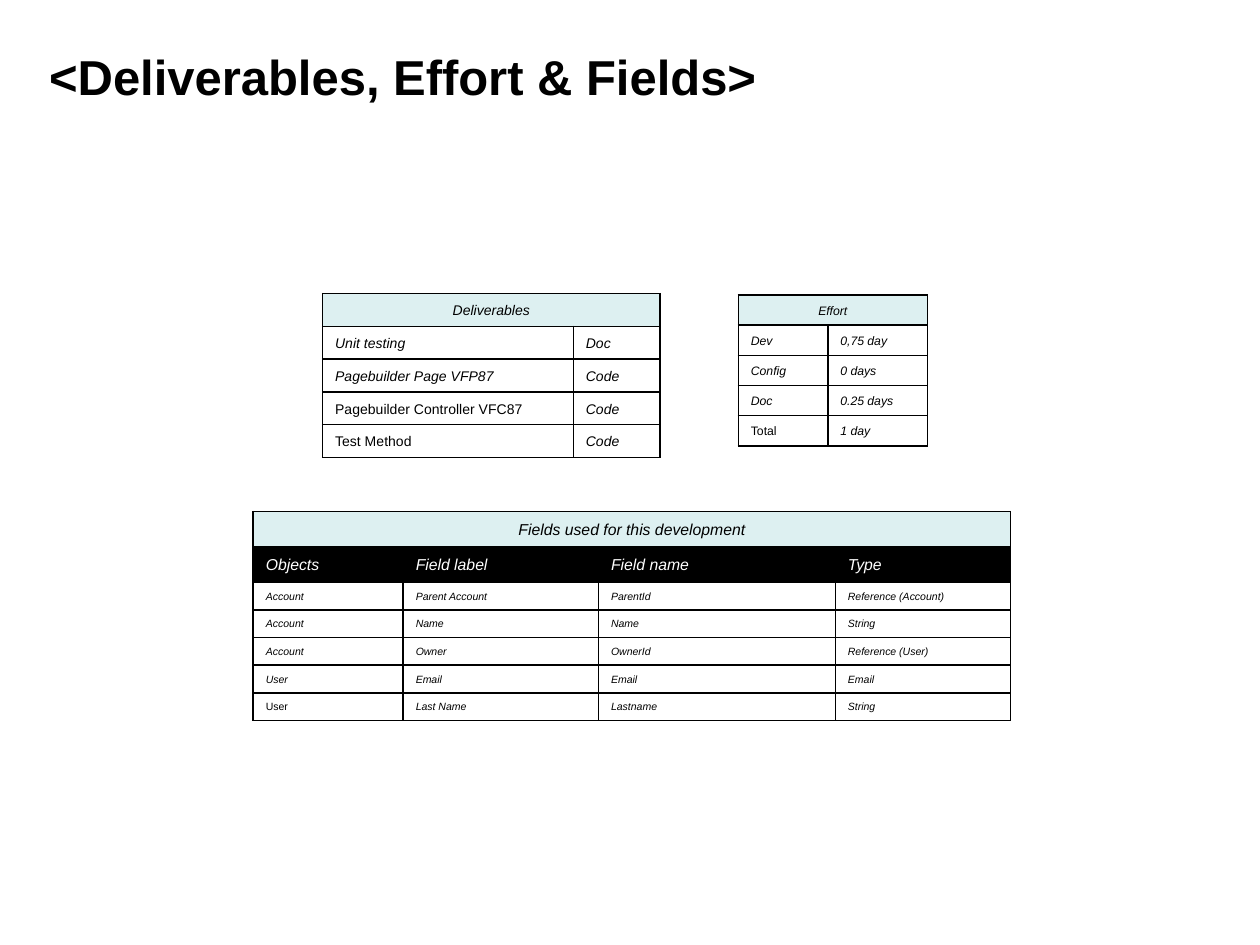
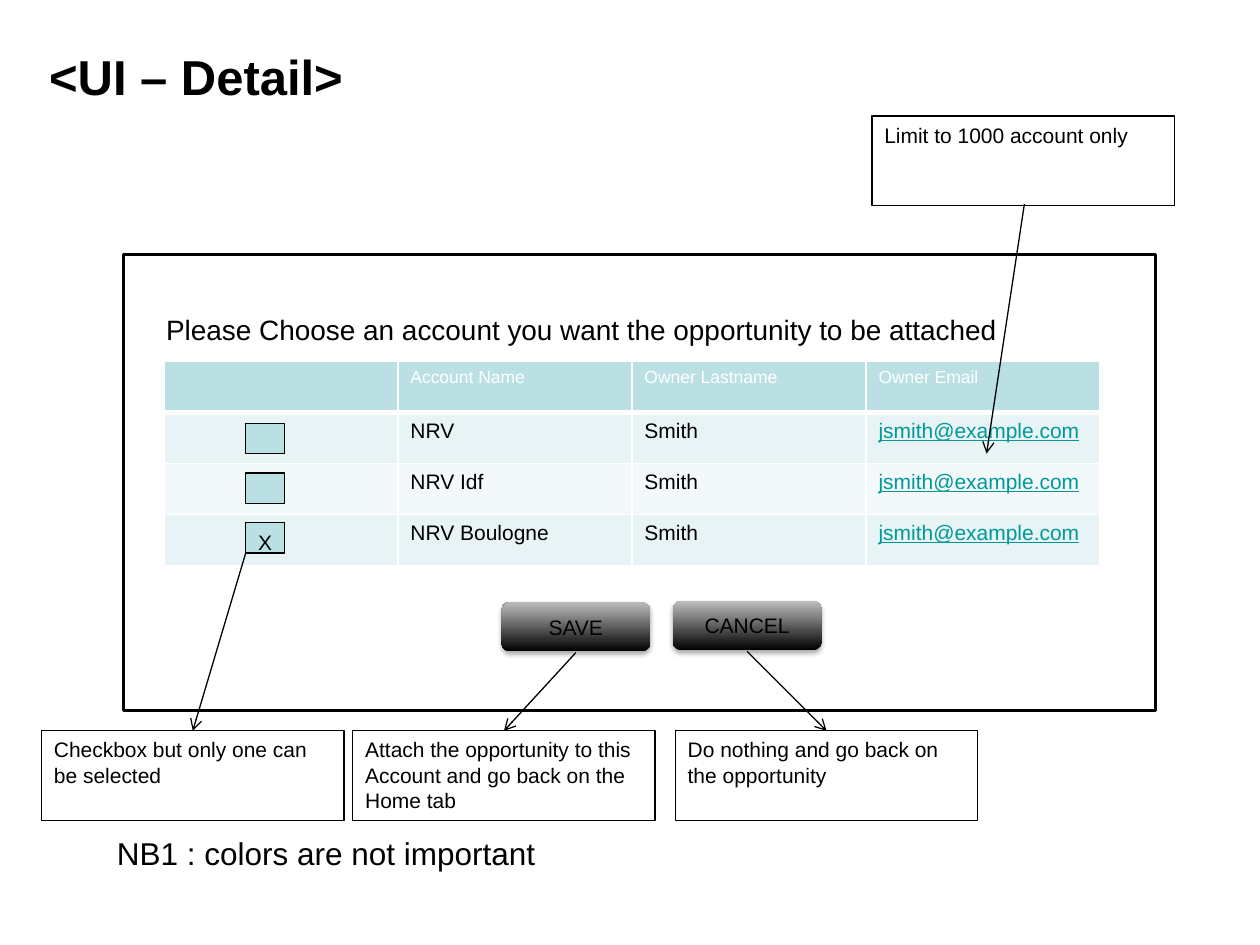
from lxml import etree
from pptx import Presentation
from pptx.dml.color import RGBColor
from pptx.enum.shapes import MSO_CONNECTOR, MSO_SHAPE
from pptx.enum.text import MSO_ANCHOR, PP_ALIGN
from pptx.oxml import parse_xml
from pptx.oxml.ns import nsdecls, qn
from pptx.util import Inches, Pt

RECT, ROUNDED = MSO_SHAPE.RECTANGLE, MSO_SHAPE.ROUNDED_RECTANGLE
STRAIGHT = MSO_CONNECTOR.STRAIGHT
TOP, MIDDLE = MSO_ANCHOR.TOP, MSO_ANCHOR.MIDDLE
LEFT, CENTER = PP_ALIGN.LEFT, PP_ALIGN.CENTER

FONT = "Arial"
COLORS = {
    "black": "000000", "white": "FFFFFF", "teal": "BBE0E3", "caption": "DDF0F1",
    "odd_row": "E7F3F4", "even_row": "F3F9FA", "link": "009999", "button_top": "BDBDBD",
}
RGB = {name: RGBColor.from_string(value) for name, value in COLORS.items()}


def style_cell(cell, text, size, color, fill, border, bottom=1):
    """Write a table cell and rule its four edges; return its paragraph."""
    cell.fill.solid()
    cell.fill.fore_color.rgb = RGB[fill]
    edges = (("lnL", 1), ("lnR", 1), ("lnT", 1), ("lnB", bottom))
    for position, (edge, width) in enumerate(edges):
        cell._tc.tcPr.insert(position, parse_xml(
            f'<a:{edge} {nsdecls("a")} w="{Pt(width)}"><a:solidFill>'
            f'<a:srgbClr val="{COLORS[border]}"/></a:solidFill></a:{edge}>'))
    paragraph = cell.text_frame.paragraphs[0]
    if text:
        paragraph.text = text
        paragraph.font.name, paragraph.font.size = FONT, Pt(size)
        paragraph.font.color.rgb = RGB[color]
    return paragraph


def add_text(slide, box, text, size=12, shape=None, fill="white", line=0.75,
             anchor=TOP, align=LEFT):
    """Add a text box, or a filled and outlined shape that holds text."""
    bounds = [Inches(length) for length in box]
    if shape is None:
        item = slide.shapes.add_textbox(*bounds)
    else:
        item = slide.shapes.add_shape(shape, *bounds)
        item.shadow.inherit = False
        item.fill.solid()
        item.fill.fore_color.rgb = RGB[fill]
        item.line.color.rgb = RGB["black"]
        item.line.width = Pt(line)
    frame = item.text_frame
    frame.word_wrap = True
    frame.vertical_anchor = anchor
    if text:
        paragraph = frame.paragraphs[0]
        paragraph.text = text
        paragraph.alignment = align
        paragraph.font.name, paragraph.font.size = FONT, Pt(size)
        paragraph.font.color.rgb = RGB["black"]
    return item


prs = Presentation()
prs.slide_width, prs.slide_height = Inches(10), Inches(7.5)

# Both slides: title at the top left
slides = []
for heading in ("<Deliverables, Effort & Fields>", "<UI – Detail>"):
    slide = prs.slides.add_slide(prs.slide_layouts[5])
    title = slide.shapes.title
    title.left, title.top = Inches(0.33), Inches(0)
    title.width, title.height = Inches(9), Inches(1.2)
    title.text_frame.margin_left = Inches(0.06)
    title.text_frame.vertical_anchor = MIDDLE
    title.text = heading
    line = title.text_frame.paragraphs[0]
    line.alignment = LEFT
    line.font.name, line.font.size, line.font.bold = FONT, Pt(28), True
    line.font.color.rgb = RGB["black"]
    slides.append(slide)
summary, ui = slides

# Slide 1: three ruled tables, each under a merged caption.
# The first cells of the last "upright" rows are not italic.
summary_tables = [
    dict(at=(5.86, 2.34), widths=(0.71, 0.79), heights=[0.24] * 5, size=7, upright=1,
         caption="Effort", header=None,
         rows=[("Dev", "0,75 day"), ("Config", "0 days"),
               ("Doc", "0.25 days"), ("Total", "1 day")]),
    dict(at=(2.56, 2.33), widths=(1.99, 0.69), heights=[0.26] * 5, size=8, upright=2,
         caption="Deliverables", header=None,
         rows=[("Unit testing", "Doc"), ("Pagebuilder Page VFP87", "Code"),
               ("Pagebuilder Controller VFC87", "Code"), ("Test Method", "Code")]),
    dict(at=(2.01, 4.06), widths=(1.19, 1.55, 1.88, 1.39),
         heights=[0.28] * 2 + [0.22] * 5, size=6, upright=1,
         caption="Fields used for this development",
         header=("Objects", "Field label", "Field name", "Type"),
         rows=[("Account", "Parent Account", "ParentId", "Reference (Account)"),
               ("Account", "Name", "Name", "String"),
               ("Account", "Owner", "OwnerId", "Reference (User)"),
               ("User", "Email", "Email", "Email"),
               ("User", "Last Name", "Lastname", "String")]),
]
for block in summary_tables:
    widths, heights = block["widths"], block["heights"]
    lines = [(block["caption"],) + ("",) * (len(widths) - 1)]
    if block["header"]:
        lines.append(block["header"])
    head_count = len(lines)
    lines += block["rows"]
    grid = summary.shapes.add_table(
        len(lines), len(widths), *[Inches(n) for n in block["at"]],
        Inches(sum(widths)), Inches(sum(heights))).table
    grid.first_row = grid.horz_banding = False
    for column, width in zip(grid.columns, widths):
        column.width = Inches(width)
    for r, texts in enumerate(lines):
        grid.rows[r].height = Inches(heights[r])
        is_header = 0 < r < head_count
        fill = "caption" if r == 0 else "black" if is_header else "white"
        size = 9 if block["header"] and r < head_count else block["size"]
        for c, text in enumerate(texts):
            entry = style_cell(grid.cell(r, c), text, size,
                               "white" if is_header else "black", fill, "black")
            entry.line_spacing = 1.2
            entry.font.italic = c > 0 or r < len(lines) - block["upright"]
    grid.cell(0, 0).merge(grid.cell(0, len(widths) - 1))
    grid.cell(0, 0).text_frame.paragraphs[0].alignment = CENTER

# Slide 2: window frame and prompt
add_text(ui, (0.98, 2.02, 8.19, 3.62), "", shape=RECT, line=2)
add_text(ui, (1.22, 2.43, 7.48, 0.37), "Please Choose an account you want the "
         "opportunity to be attached", size=16)

# Account list
email = "jsmith@example.com"
accounts = [("", "Account Name", "Owner Lastname", "Owner Email")]
accounts += [("", name, "Smith", email) for name in ("NRV", "NRV Idf", "NRV Boulogne")]
account_list = ui.shapes.add_table(4, 4, Inches(1.3), Inches(2.87),
                                   Inches(7.43), Inches(1.62)).table
account_list.first_row = account_list.horz_banding = False
for r, texts in enumerate(accounts):
    for c, text in enumerate(texts):
        cell = account_list.cell(r, c)
        if r == 0:
            style_cell(cell, text, 10, "white", "teal", "white", bottom=3)
        else:
            entry = style_cell(cell, text, 12, "link" if c == 3 else "black",
                               "odd_row" if r % 2 else "even_row", "white")
            if c == 3:
                entry.font.underline = True

# Checkboxes, only the last one ticked
for i, mark in enumerate(("", "", "X")):
    add_text(ui, (1.95, 3.36 + i * 0.395, 0.31, 0.24), mark, shape=RECT, fill="teal")

# Buttons with a vertical gradient and a soft shadow
for left, top, label in ((3.98, 4.78, "SAVE"), (5.34, 4.77, "CANCEL")):
    button = add_text(ui, (left, top, 1.18, 0.39), label, shape=ROUNDED,
                      anchor=MIDDLE, align=CENTER)
    button.line.fill.background()
    button.fill.gradient()
    button.fill.gradient_angle = 90
    for stop, color in zip(button.fill.gradient_stops, ("black", "button_top")):
        stop.color.rgb = RGB[color]
    effects = button._element.spPr.find(qn("a:effectLst"))
    effects.append(parse_xml(
        f'<a:outerShdw {nsdecls("a")} blurRad="{Pt(3.1)}" dist="{Pt(1.8)}" dir="5400000" '
        f'rotWithShape="0"><a:srgbClr val="{COLORS["black"]}">'
        '<a:alpha val="35000"/></a:srgbClr></a:outerShdw>'))

# Callouts, each with its arrow
callouts = [
    (0.33, 5.8, "Checkbox but only one can be selected", (1.95, 4.39), (1.53, 5.8)),
    (2.8, 5.8, "Attach the opportunity to this Account and go back on the Home tab",
     (4.57, 5.18), (4, 5.8)),
    (5.36, 5.8, "Do nothing and go back on the opportunity", (5.93, 5.17), (6.56, 5.8)),
    (6.92, 0.92, "Limit to 1000 account only", (8.13, 1.62), (7.83, 3.6)),
]
for left, top, note, start, end in callouts:
    add_text(ui, (left, top, 2.4, 0.71), note, shape=RECT)
    arrow = ui.shapes.add_connector(STRAIGHT, *[Inches(n) for n in start + end])
    arrow.line.color.rgb = RGB["black"]
    arrow.line.width = Pt(0.75)
    etree.SubElement(arrow.line._get_or_add_ln(), qn("a:tailEnd"), type="arrow")
    etree.SubElement(arrow._element.spPr, qn("a:effectLst"))

# Remark below the window
add_text(ui, (0.83, 6.57, 4.33, 0.4), "NB1 : colors are not important", size=18)

prs.save("out.pptx")
